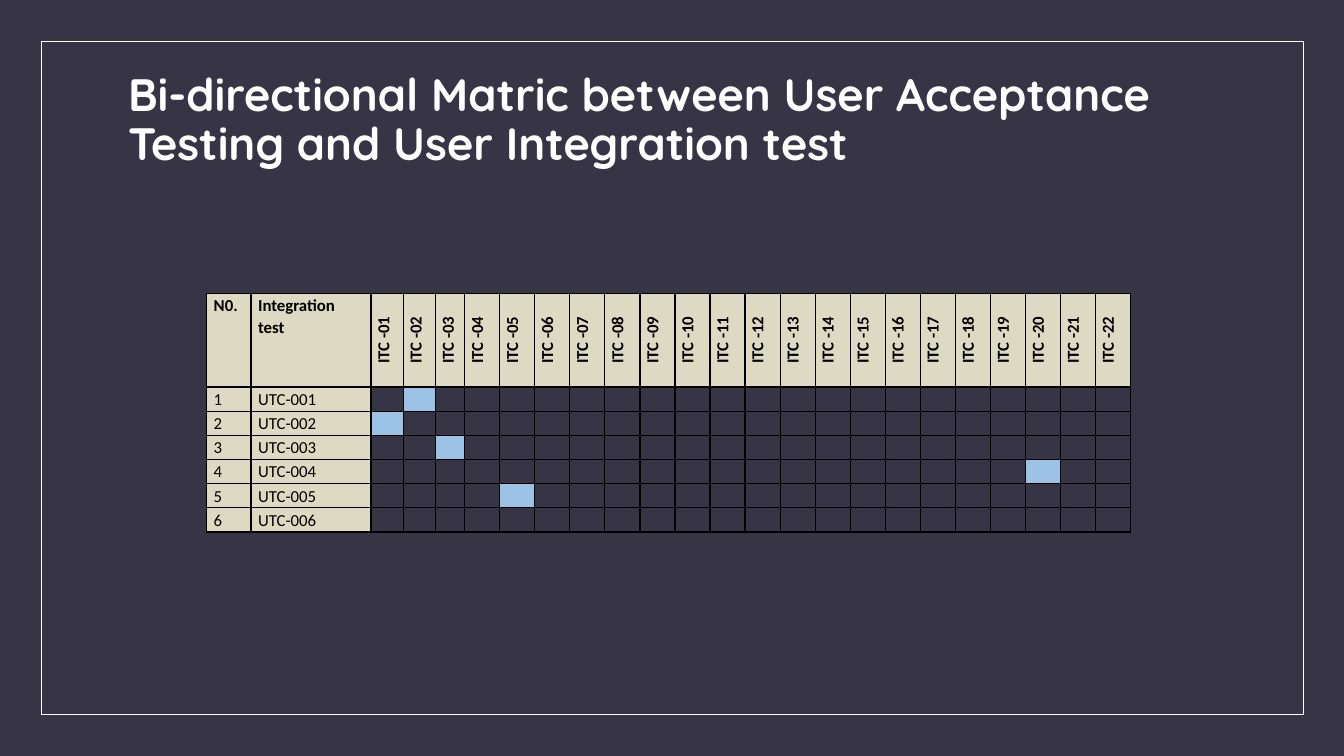
"""Build the slide with the acceptance and integration test matrix."""
from lxml.etree import SubElement
from pptx import Presentation
from pptx.dml.color import RGBColor
from pptx.enum.shapes import MSO_SHAPE
from pptx.enum.text import MSO_ANCHOR, MSO_AUTO_SIZE, PP_ALIGN
from pptx.oxml.ns import qn
from pptx.util import Inches, Pt

TITLE = "Bi-directional Matric between User Acceptance Testing and User Integration test"
LABEL_HEADERS = ["N0.", "Integration\ntest"]
INTEGRATION_TESTS = [f"ITC -{number:02}" for number in range(1, 23)]
ACCEPTANCE_TESTS = [f"UTC-{number:03}" for number in range(1, 7)]
COVERED = {(1, 2), (2, 1), (3, 3), (4, 20), (5, 5)}

BACKGROUND, WHITE, BLACK = "373545", "FFFFFF", "000000"
LABEL_FILL, COVERED_FILL = "DDD9C3", "9CC2E5"

TABLE_LEFT, TABLE_TOP, TABLE_WIDTH = 2.05, 2.91, 9.17
FIRST_WIDTHS = [0.44, 1.19, 0.32, 0.32, 0.29]
HEADER_HEIGHT, ROW_HEIGHT = 0.93, 0.24


def color(value):
    return RGBColor.from_string(value)


def add_borders(cell):
    properties = cell._tc.get_or_add_tcPr()
    for side in ("a:lnL", "a:lnR", "a:lnT", "a:lnB"):
        line = SubElement(properties, qn(side), w=str(Pt(1)))
        fill = SubElement(line, qn("a:solidFill"))
        SubElement(fill, qn("a:srgbClr"), val=BLACK)


def format_cell(cell, text, fill, bold, vertical):
    cell.margin_left = cell.margin_right = Inches(0.07)
    cell.margin_top, cell.margin_bottom = Inches(0.01), 0
    add_borders(cell)
    if fill:
        cell.fill.solid()
        cell.fill.fore_color.rgb = color(fill)
    else:
        cell.fill.background()
    if vertical:
        cell._tc.get_or_add_tcPr().set("vert", "vert270")
    cell.text = text
    for paragraph in cell.text_frame.paragraphs:
        paragraph.line_spacing = 1.07
        paragraph.alignment = PP_ALIGN.CENTER if vertical else PP_ALIGN.LEFT
        paragraph.font.name = "Calibri"
        paragraph.font.size = Pt(12)
        paragraph.font.bold = bold
        paragraph.font.color.rgb = color(BLACK)
        if not text:
            SubElement(paragraph._p, qn("a:endParaRPr"), sz="1200")


def add_frame(slide):
    frame = slide.shapes.add_shape(
        MSO_SHAPE.RECTANGLE, Inches(0.41), Inches(0.41), Inches(12.52), Inches(6.68))
    frame.shadow.inherit = False
    frame.fill.background()
    frame.line.color.rgb = color(WHITE)
    frame.line.width = Pt(0.5)


def fill_title(slide):
    title = slide.shapes.title
    title.left, title.top = Inches(1.17), Inches(0.7)
    title.width, title.height = Inches(11), Inches(1.5)
    text_frame = title.text_frame
    text_frame.text = TITLE
    text_frame.word_wrap = True
    text_frame.auto_size = MSO_AUTO_SIZE.NONE
    text_frame.vertical_anchor = MSO_ANCHOR.TOP
    text_frame.margin_top = Inches(0.02)
    paragraph = text_frame.paragraphs[0]
    paragraph.alignment = PP_ALIGN.LEFT
    paragraph.line_spacing = 0.9
    paragraph.font.name = "Quicksand"
    paragraph.font.size = Pt(32.4)
    paragraph.font.bold = True
    paragraph.font.color.rgb = color(WHITE)


def add_matrix(slide):
    rows = [LABEL_HEADERS + INTEGRATION_TESTS]
    for number, name in enumerate(ACCEPTANCE_TESTS, 1):
        rows.append([str(number), name] + [""] * len(INTEGRATION_TESTS))
    column_count = len(rows[0])
    height = HEADER_HEIGHT + ROW_HEIGHT * len(ACCEPTANCE_TESTS)
    table = slide.shapes.add_table(
        len(rows), column_count, Inches(TABLE_LEFT), Inches(TABLE_TOP),
        Inches(TABLE_WIDTH), Inches(height)).table
    table.first_row = table.horz_banding = False

    equal_count = column_count - len(FIRST_WIDTHS)
    equal_width = (TABLE_WIDTH - sum(FIRST_WIDTHS)) / equal_count
    for column, width in zip(table.columns, FIRST_WIDTHS + [equal_width] * equal_count):
        column.width = Inches(width)
    for row_index, texts in enumerate(rows):
        is_header = row_index == 0
        table.rows[row_index].height = Inches(HEADER_HEIGHT if is_header else ROW_HEIGHT)
        for column_index, text in enumerate(texts):
            test_number = column_index - len(LABEL_HEADERS) + 1
            if text:
                fill = LABEL_FILL
            else:
                fill = COVERED_FILL if (row_index, test_number) in COVERED else None
            format_cell(table.cell(row_index, column_index), text, fill,
                        is_header, is_header and test_number > 0)


def main():
    presentation = Presentation()
    presentation.slide_width, presentation.slide_height = Inches(13.33), Inches(7.5)
    slide = presentation.slides.add_slide(presentation.slide_layouts[5])
    slide.background.fill.solid()
    slide.background.fill.fore_color.rgb = color(BACKGROUND)
    add_frame(slide)
    fill_title(slide)
    add_matrix(slide)
    presentation.save("out.pptx")


if __name__ == "__main__":
    main()
